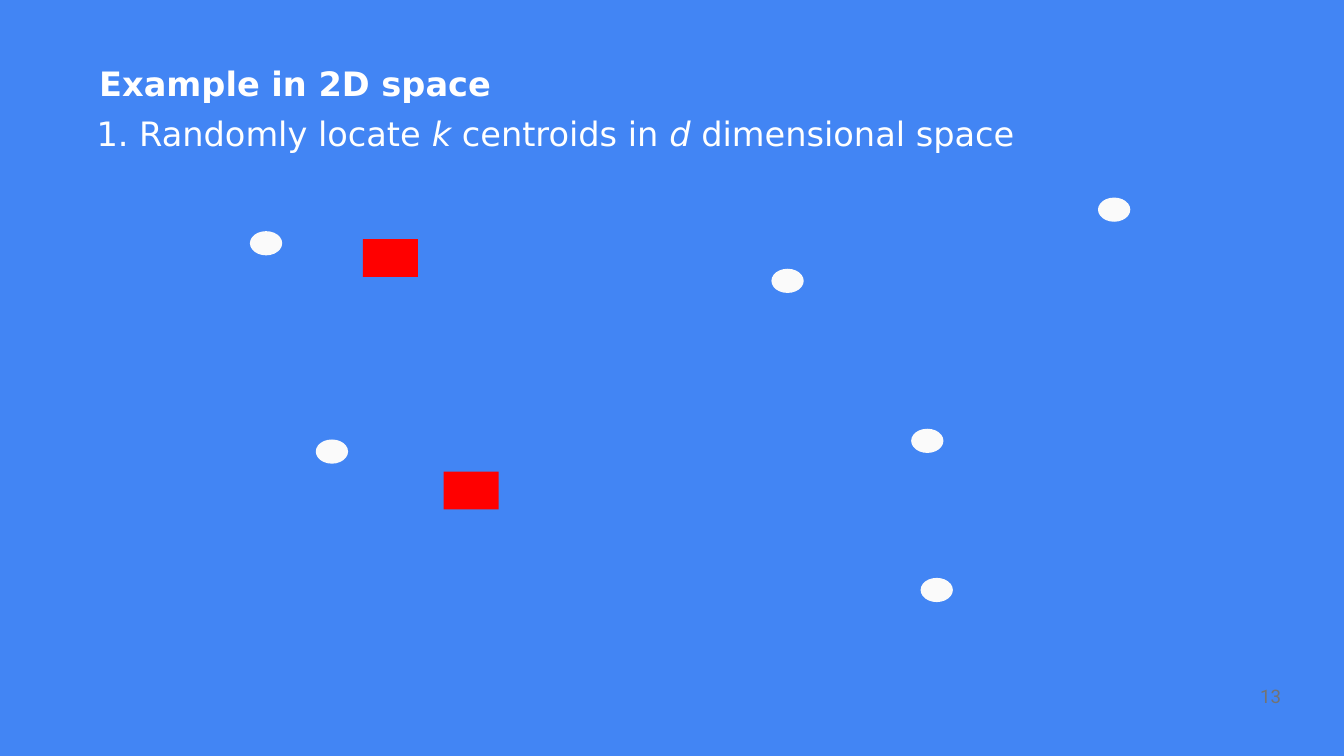
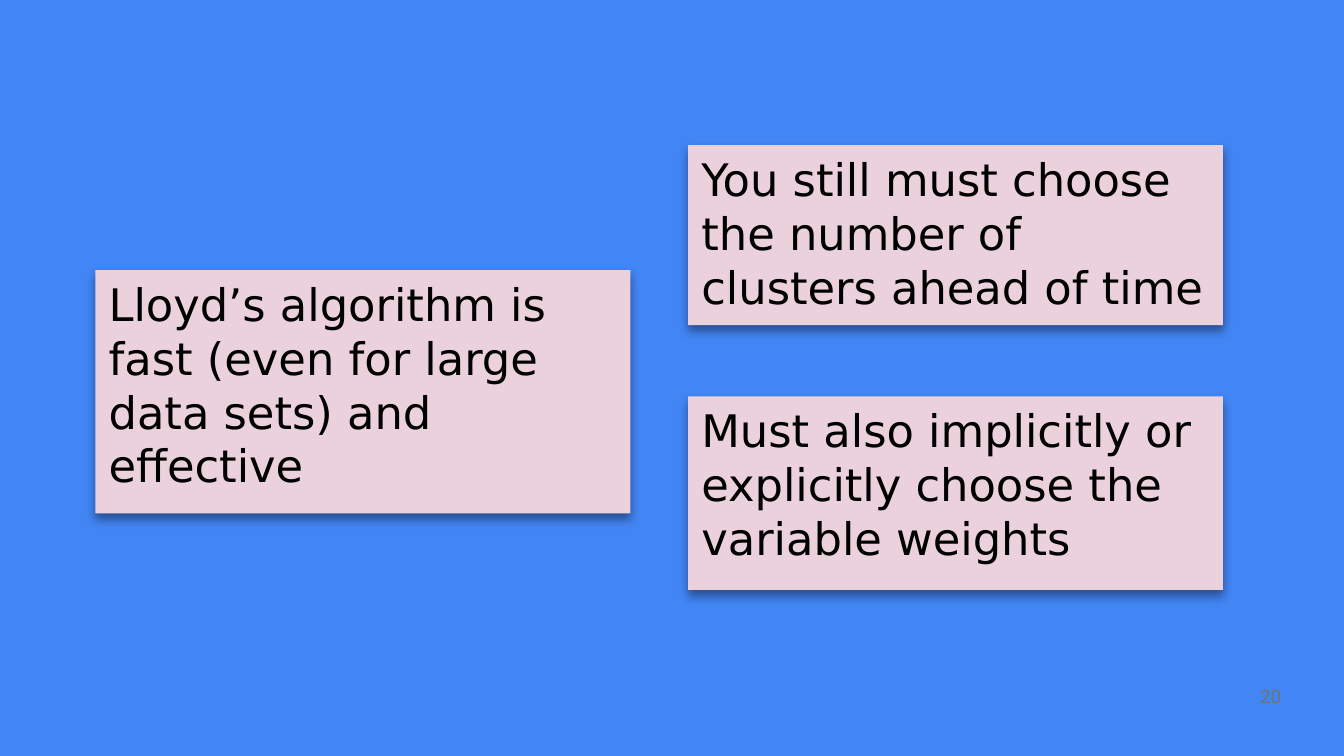
from lxml import etree
from pptx import Presentation, util as u
from pptx.dml.color import RGBColor
from pptx.enum import shapes, text
from pptx.oxml import ns

PX = 4572
BLUE, WHITE, GRAY, BLACK = "4285F4", "FFFFFF", "737373", "000000"
PINK, RED, PALE = "EAD1DC", "FF0000", "FAFAFA"
SANS = "DejaVu Sans"
RECT, OVAL = shapes.MSO_SHAPE.RECTANGLE, shapes.MSO_SHAPE.OVAL


def px(*nums):
    return [u.Emu(n * PX) for n in nums]


def paint(item, tone):
    item.fill.solid()
    item.fill.fore_color.rgb = RGBColor.from_string(tone)


def write(shape, words, size=18, tone=WHITE, font=SANS, bold=False,
          align=text.PP_ALIGN.LEFT, anchor=text.MSO_ANCHOR.TOP):
    frame = shape.text_frame
    frame.word_wrap = True
    frame.vertical_anchor = anchor
    frame.margin_left, frame.margin_top, frame.margin_right, frame.margin_bottom = px(20, 10, 20, 10)
    para = frame.paragraphs[0]
    para.alignment = align
    for i, part in enumerate(words.split("*")):
        run = para.add_run()
        run.text = part
        run.font.name = font
        run.font.size = u.Pt(size)
        run.font.bold = bold
        run.font.italic = i % 2 == 1
        run.font.color.rgb = RGBColor.from_string(tone)


class Deck:
    def __init__(self):
        self.prs = Presentation()
        self.prs.slide_width, self.prs.slide_height = px(2000, 1125)

    def page(self, number):
        self.slide = self.prs.slides.add_slide(self.prs.slide_layouts[6])
        paint(self.slide.background, BLUE)
        self.label((1826, 1002, 100, 60), number, size=10, tone=GRAY, font="Roboto",
                   align=text.PP_ALIGN.RIGHT, anchor=text.MSO_ANCHOR.BOTTOM)

    def label(self, area, words, **style):
        write(self.slide.shapes.add_textbox(*px(*area)), words, **style)

    def shape(self, kind, area, tone):
        item = self.slide.shapes.add_shape(kind, *px(*area))
        item.shadow.inherit = False
        paint(item, tone)
        item.line.fill.background()
        return item

    def dot(self, x, y):
        self.shape(OVAL, (x, y, 48, 36), PALE)

    def center(self, x, y):
        self.shape(RECT, (x, y, 82, 56), RED)

    def card(self, x, y, high, words):
        item = self.shape(RECT, (x, y, 796, high), PINK)
        glow = item._element.spPr.find(ns.qn("a:effectLst"))
        shade = etree.SubElement(glow, ns.qn("a:outerShdw"), blurRad=str(u.Pt(5.2)),
                                 dist=str(u.Pt(3)), dir="5400000", algn="t", rotWithShape="0")
        tone = etree.SubElement(shade, ns.qn("a:srgbClr"), val=BLACK)
        etree.SubElement(tone, ns.qn("a:alpha"), val="40000")
        write(item, words, size=24, tone=BLACK)


def main():
    deck = Deck()

    deck.page("13")
    for x, y in [(372, 344), (470, 654), (1148, 400), (1356, 638), (1634, 294), (1370, 860)]:
        deck.dot(x, y)
    deck.label((128, 84, 734, 60), "Example in 2D space", bold=True)
    for x, y in [(540, 356), (660, 702)]:
        deck.center(x, y)
    deck.label((124, 158, 1424, 106),
               "1. Randomly locate *k* centroids in *d* dimensional space")

    deck.page("20")
    deck.card(142, 402, 362,
              "Lloyd’s algorithm is fast (even for large data sets) and effective")
    deck.card(1024, 216, 268, "You still must choose the number of clusters ahead of time")
    deck.card(1024, 590, 288,
              "Must also implicitly or explicitly choose the variable weights")

    deck.prs.save("out.pptx")


if __name__ == "__main__":
    main()
